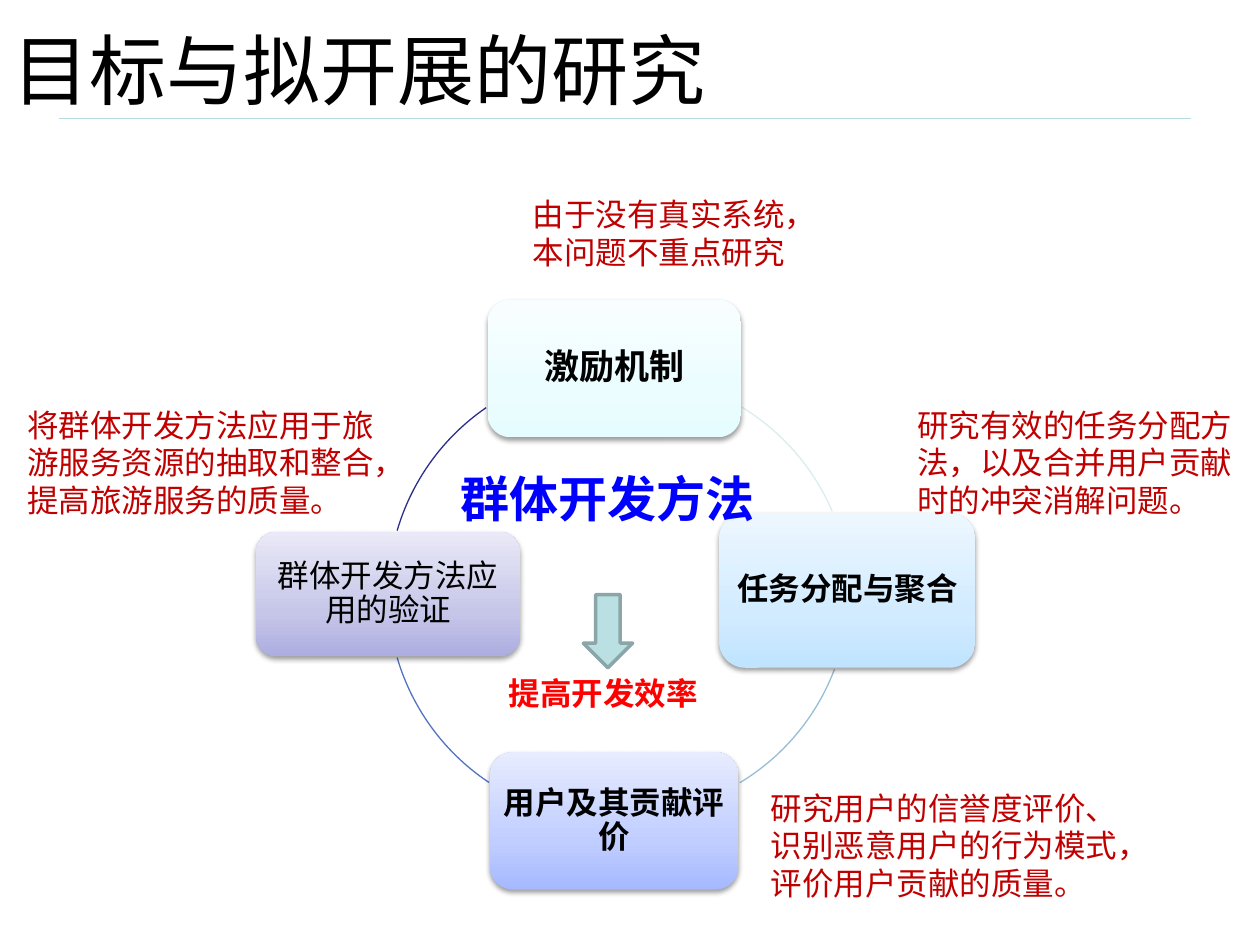
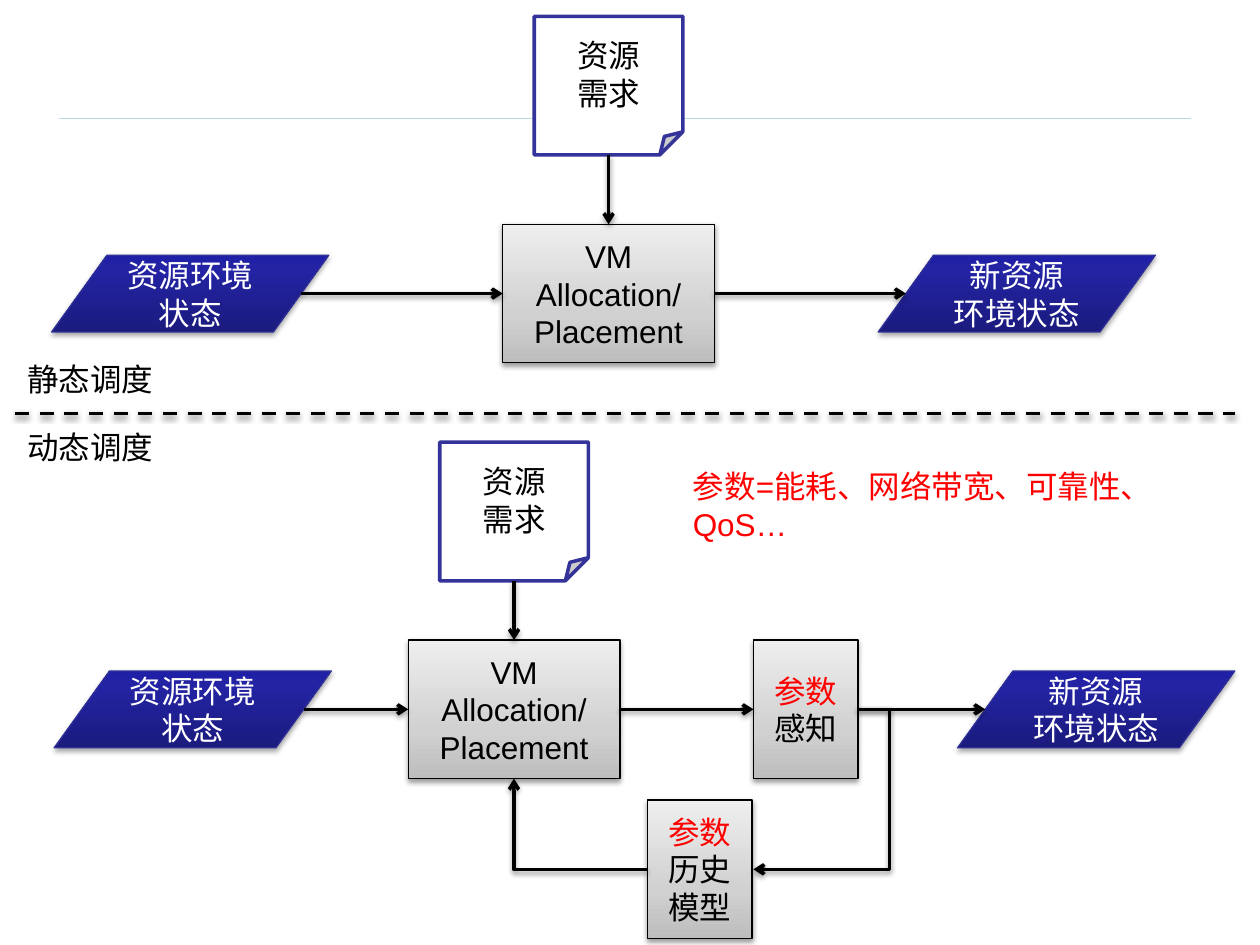
from lxml import etree
from pptx import Presentation
from pptx.dml.color import RGBColor
from pptx.enum.dml import MSO_LINE
from pptx.enum.shapes import MSO_CONNECTOR, MSO_SHAPE
from pptx.enum.text import MSO_ANCHOR, PP_ALIGN
from pptx.oxml.ns import qn
from pptx.util import Inches, Pt

STRAIGHT, ELBOW = MSO_CONNECTOR.STRAIGHT, MSO_CONNECTOR.ELBOW
ROUND, ARC, DOWN = MSO_SHAPE.ROUNDED_RECTANGLE, MSO_SHAPE.ARC, MSO_SHAPE.DOWN_ARROW
RECT, FOLD, DATA = MSO_SHAPE.RECTANGLE, MSO_SHAPE.FOLDED_CORNER, MSO_SHAPE.FLOWCHART_DATA
LEFT, CENTER = PP_ALIGN.LEFT, PP_ALIGN.CENTER
MIDDLE, DASH = MSO_ANCHOR.MIDDLE, MSO_LINE.DASH
TOP_SIDE, LEFT_SIDE, LOW_SIDE, RIGHT_SIDE = range(4)

BLACK = RGBColor(0x00, 0x00, 0x00)
WHITE = RGBColor(0xFF, 0xFF, 0xFF)
RED = RGBColor(0xFF, 0x00, 0x00)
BLUE = RGBColor(0x00, 0x00, 0xFF)
BRICK = RGBColor(0xC0, 0x00, 0x00)
RULE = RGBColor(0xB6, 0xDC, 0xDF)
TEAL = RGBColor(0xBB, 0xE0, 0xE3)
SLATE = RGBColor(0x8A, 0xA6, 0xA8)
NAVY = RGBColor(0x33, 0x33, 0x99)
INDIGO = RGBColor(0x2F, 0x2F, 0x98)
GRAY_STOPS = [(0, "BDBDBD"), (35, "D1D1D1"), (100, "EEEEEE")]
NAVY_STOPS = [(0, "1B1B7E"), (80, "2323A3"), (100, "2020A6")]
LATIN, HAN = "Arial", "Noto Sans CJK SC"


def write(frame, parts, size=18, bold=False, align=CENTER, font=LATIN, wrap=True):
    """Fill a text frame with one paragraph of (text, colour) runs."""
    frame.word_wrap = wrap
    para = frame.paragraphs[0]
    para.alignment = align
    for text, color in parts:
        for i, line in enumerate(text.split("\n")):
            if i:
                para.add_line_break()
            run = para.add_run()
            run.text = line
            run.font.size, run.font.bold = Pt(size), bold
            run.font.color.rgb = color
            run.font.name = font
            etree.SubElement(run.font._element, qn("a:ea"), typeface=HAN)
    return para


def dress(shape, stops=(), edge=None, width=0.75, alpha=0):
    """Set gradient, outline and soft shadow (alpha in percent, 0 for none)."""
    props = shape._element.spPr
    if stops:
        shape.fill.gradient()
        shape.fill.gradient_angle = 90
        ramp = props.find(qn("a:gradFill")).find(qn("a:gsLst"))
        for old in list(ramp):
            ramp.remove(old)
        for place, tint in stops:
            stop = etree.SubElement(ramp, qn("a:gs"), pos=str(place * 1000))
            etree.SubElement(stop, qn("a:srgbClr"), val=tint)
    if edge is None:
        shape.line.fill.background()
    else:
        shape.line.color.rgb = edge
        shape.line.width = Pt(width)
    effects = etree.SubElement(props, qn("a:effectLst"))
    if alpha:
        cast = etree.SubElement(effects, qn("a:outerShdw"), blurRad=str(Pt(3.1)),
                                dist=str(Pt(1.6)), dir="5400000", rotWithShape="0")
        tone = etree.SubElement(cast, qn("a:srgbClr"), val="000000")
        etree.SubElement(tone, qn("a:alpha"), val=str(alpha * 1000))


deck = Presentation()
deck.slide_width, deck.slide_height = Inches(10), Inches(7.5)
goal = deck.slides.add_slide(deck.slide_layouts[5])
flow = deck.slides.add_slide(deck.slide_layouts[6])

# Shared rule under the title area
for slide in (goal, flow):
    rule = slide.shapes.add_connector(
        STRAIGHT, Inches(0.47), Inches(0.94), Inches(9.45), Inches(0.94))
    dress(rule, edge=RULE)

# Slide 1: title
title = goal.shapes.title
title.left, title.top, title.width, title.height = 0, 0, Inches(9), Inches(1.09)
title.text_frame.vertical_anchor = MIDDLE
write(title.text_frame, [("目标与拟开展的研究", BLACK)], 44, align=LEFT)

# Slide 1: arcs of the cycle (left, top, start and end degrees, colour)
arcs = [
    (3.16, 2.97, 301.3, 336.8, "DAEDEF"),
    (3.15, 2.88, 20.8, 58.9, "98BDD6"),
    (3.08, 2.92, 123.6, 163.7, "5273C1"),
    (3.08, 2.92, 196.3, 235.5, "2D2D8A"),
]
for x, y, start, end, tint in arcs:
    arc = goal.shapes.add_shape(ARC, Inches(x), Inches(y), Inches(3.59), Inches(3.59))
    # Arc angles are stored in 1/60000 degree, adjustments in 1/100000
    arc.adjustments[0], arc.adjustments[1] = start * 0.6, end * 0.6
    arc.fill.background()
    dress(arc, edge=RGBColor.from_string(tint))

# Slide 1: steps of the cycle
steps = [
    ("激励机制", 3.87, 2.38, 2.01, 1.09, 20, True, ("E6FDFF", "ECFDFF", "F8FEFF")),
    ("任务分配与聚合", 5.71, 4.07, 2.03, 1.23, 18, True, ("C0E4FF", "D2EBFF", "EDF7FF")),
    ("用户及其贡献评价", 3.89, 5.97, 1.97, 1.09, 18, True, ("A6B9FF", "C0CDFF", "E7ECFF")),
    ("群体开发方法应用的验证", 2.03, 4.22, 2.1, 0.99, 18, False,
     ("ADADE1", "C6C6E9", "E9E9F7")),
]
for text, x, y, w, h, size, bold, tints in steps:
    step = goal.shapes.add_shape(ROUND, Inches(x), Inches(y), Inches(w), Inches(h))
    dress(step, list(zip((0, 35, 100), tints)), alpha=38)
    frame = step.text_frame
    frame.margin_left = frame.margin_right = Inches(0.02)
    write(frame, [(text, BLACK)], size, bold).line_spacing = 0.9

# Slide 1: remarks beside the steps (left, top, width, height, side inset)
notes = [
    ("研究用户的信誉度评价、识别恶意用户的行为模式，评价用户贡献的质量。",
     6.02, 6.21, 2.99, 1.01, 0.1),
    ("研究有效的任务分配方法，以及合并用户贡献时的冲突消解问题。",
     7.28, 3.17, 2.72, 1.01, 0),
    ("将群体开发方法应用于旅游服务资源的抽取和整合，提高旅游服务的质量。",
     0.12, 3.17, 3.03, 1.01, 0.1),
    ("由于没有真实系统，本问题不重点研究", 4.23, 1.5, 2.13, 0.71, 0),
]
for text, x, y, w, h, inset in notes:
    note = goal.shapes.add_textbox(Inches(x), Inches(y), Inches(w), Inches(h))
    note.text_frame.margin_left = note.text_frame.margin_right = Inches(inset)
    write(note.text_frame, [(text, BRICK)], align=LEFT, font=HAN)

# Slide 1: method and aim in the centre
core = goal.shapes.add_textbox(Inches(3.54), Inches(3.67), Inches(2.56), Inches(0.57))
write(core.text_frame, [("群体开发方法", BLUE)], 28, True, font=HAN, wrap=False)
aim = goal.shapes.add_textbox(Inches(3.94), Inches(5.3), Inches(1.97), Inches(0.4))
write(aim.text_frame, [("提高开发效率", RED)], bold=True, align=LEFT)
down = goal.shapes.add_shape(DOWN, Inches(4.63), Inches(4.72), Inches(0.39), Inches(0.58))
down.fill.solid()
down.fill.fore_color.rgb = TEAL
dress(down, edge=SLATE, width=2)

# Slide 2: boxes of both schedules; each row shares one middle line
box_h, data_h = 1.1, 0.61
rows = [  # name, middle, sheet left and top, allocator left, state lefts
    ("static", 2.33, 4.24, 0.13, 3.99, 0.41, 6.97),
    ("dynamic", 5.63, 3.49, 3.51, 3.24, 0.43, 7.6),
]
boxes = []
for name, mid, sheet_x, sheet_y, vm_x, old_x, new_x in rows:
    box_y, data_y = mid - box_h / 2, mid - data_h / 2
    boxes += [
        (name + " vm", RECT, vm_x, box_y, 1.68, [("VM Allocation/ Placement", BLACK)]),
        (name + " sheet", FOLD, sheet_x, sheet_y, 1.18, [("资源\n需求", BLACK)]),
        (name + " old", DATA, old_x, data_y, 2.2, [("资源环境状态", WHITE)]),
        (name + " new", DATA, new_x, data_y, 2.2, [("新资源\n环境状态", WHITE)]),
    ]
boxes += [
    ("sense", RECT, 5.98, 5.08, 0.83, [("参数", RED), ("感知", BLACK)]),
    ("model", RECT, 5.14, 6.35, 0.83, [("参数", RED), ("历史模型", BLACK)]),
]
nodes = {}
for name, kind, x, y, w, parts in boxes:
    h = data_h if kind == DATA else box_h
    node = flow.shapes.add_shape(kind, Inches(x), Inches(y), Inches(w), Inches(h))
    if kind == RECT:
        dress(node, GRAY_STOPS, BLACK, alpha=38)
    elif kind == DATA:
        dress(node, NAVY_STOPS, INDIGO, alpha=35)
    else:
        node.fill.solid()
        node.fill.fore_color.rgb = WHITE
        dress(node, edge=NAVY, width=2)
    write(node.text_frame, parts)
    nodes[name] = node

# Slide 2: arrows (kind, from x, y, to x, y, joined start, joined end)
links = [
    (ELBOW, 6.81, 5.63, 5.98, 6.9, None, None),
    (ELBOW, 5.14, 6.9, 4.08, 6.18, None, None),
    (STRAIGHT, 4.92, 5.63, 5.98, 5.63, ("dynamic vm", RIGHT_SIDE), ("sense", LEFT_SIDE)),
]
for name, mid, sheet_x, sheet_y, vm_x, old_x, new_x in rows:
    vm, sheet = name + " vm", name + " sheet"
    last = (vm, RIGHT_SIDE) if name == "static" else ("sense", RIGHT_SIDE)
    mid_x = vm_x + 0.84
    links += [
        (STRAIGHT, old_x + 1.98, mid, vm_x, mid, None, (vm, LEFT_SIDE)),
        (STRAIGHT, mid_x, sheet_y + box_h, mid_x, mid - box_h / 2,
         (sheet, LOW_SIDE), (vm, TOP_SIDE)),
        (STRAIGHT, vm_x + 1.68, mid, new_x + 0.22, mid, last, None),
    ]
arrows = []
for kind, x1, y1, x2, y2, start, end in links:
    arrow = flow.shapes.add_connector(kind, Inches(x1), Inches(y1), Inches(x2), Inches(y2))
    if start:
        arrow.begin_connect(nodes[start[0]], start[1])
    if end:
        arrow.end_connect(nodes[end[0]], end[1])
    dress(arrow, edge=BLACK, width=2, alpha=38)
    etree.SubElement(arrow._element.spPr.find(qn("a:ln")), qn("a:tailEnd"), type="arrow")
    arrows.append(arrow)

# Slide 2: bends of the feedback loop
out, back = [arrow._element.spPr.find(qn("a:prstGeom")) for arrow in arrows[:2]]
bends = out.find(qn("a:avLst"))
if bends is None:
    bends = etree.SubElement(out, qn("a:avLst"))
etree.SubElement(bends, qn("a:gd"), name="adj1", fmla="val -30000")
back.set("prst", "bentConnector2")

# Slide 2: divider and labels
split = flow.shapes.add_connector(
    STRAIGHT, Inches(0.12), Inches(3.28), Inches(9.8), Inches(3.28))
split.line.dash_style = DASH
dress(split, edge=BLACK, width=2, alpha=38)
labels = [
    ("静态调度", 0.12, 2.81, 1.5, BLACK),
    ("动态调度", 0.12, 3.35, 1.5, BLACK),
    ("参数=能耗、网络带宽、可靠性、QoS…", 5.4, 3.66, 4.1, RED),
]
for text, x, y, w, color in labels:
    label = flow.shapes.add_textbox(Inches(x), Inches(y), Inches(w), Inches(0.4))
    write(label.text_frame, [(text, color)], align=LEFT)

deck.save("out.pptx")
